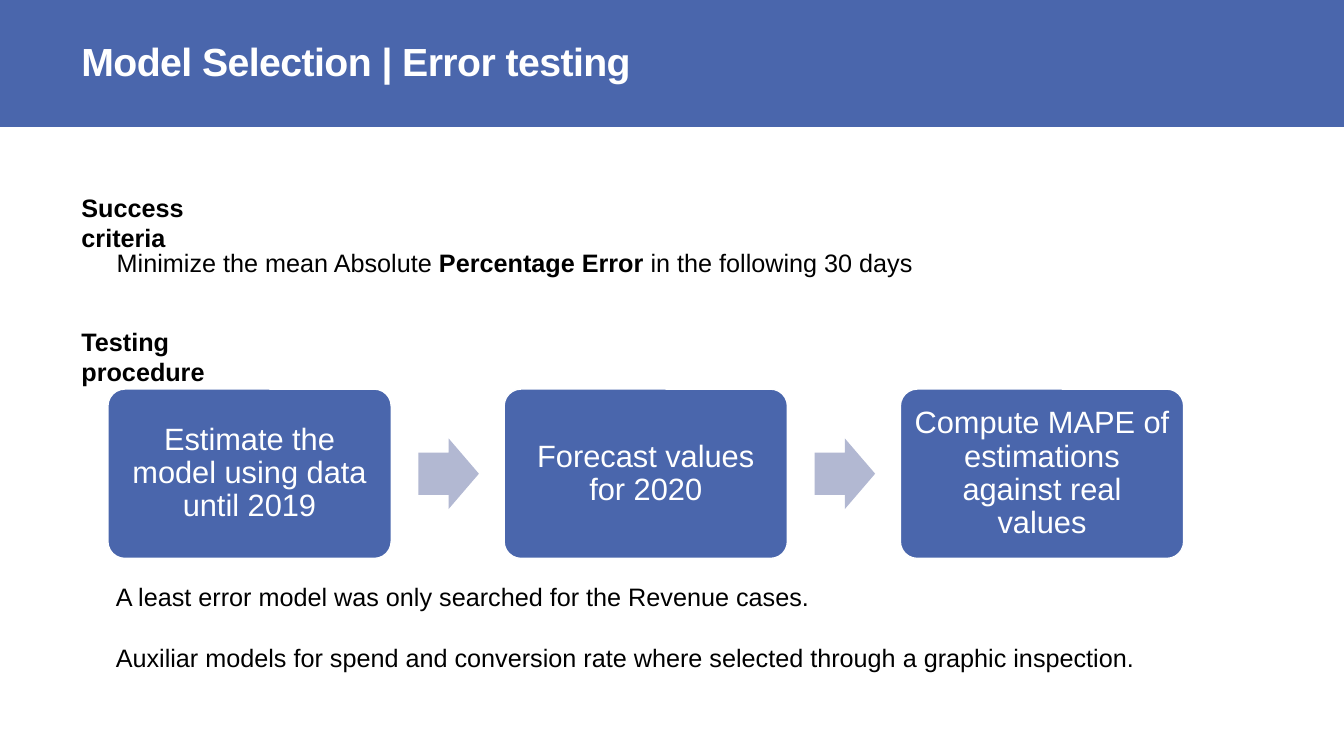
from pptx import Presentation
from pptx import util as u
from pptx.dml.color import RGBColor
from pptx.enum import shapes, text

COLORS = {"blue": "4A66AC", "arrow": "B2B8D2", "white": "FFFFFF", "black": "000000"}
TITLE = "Model Selection | Error testing"
HEADINGS = [
    ("Success criteria", (0.71, 1.86, 1.94, 0.4)),
    ("Testing procedure", (0.71, 3.19, 2.3, 0.4)),
]
CRITERIA = [
    ("Minimize the mean Absolute ", False),
    ("Percentage Error ", True),
    ("in the following 30 days", False),
]
STEPS = [
    "Estimate the model using data until 2019",
    "Forecast values for 2020",
    "Compute MAPE of estimations against real values",
]
NOTES = [
    "A least error model was only searched for the Revenue cases.",
    "Auxiliar models for spend and conversion rate where selected through a graphic inspection.",
]
STEP_LEFT, STEP_TOP, STEP_WIDTH, STEP_HEIGHT, STEP_PITCH = 1.07, 3.86, 2.81, 1.68, 3.93
ARROW_OFFSET, ARROW_WIDTH, ARROW_HEIGHT = 3.08, 0.6, 0.7
STEP_FORMAT = {"alignment": text.PP_ALIGN.CENTER, "line_spacing": 0.9}

presentation = Presentation()
presentation.slide_width = u.Inches(13.33)
presentation.slide_height = u.Inches(7.5)
slide = presentation.slides.add_slide(presentation.slide_layouts[6])


def color(name):
    return RGBColor.from_string(COLORS[name])


def apply(target, values):
    for name, value in values.items():
        setattr(target, name, value)


def add_shape(kind, box, fill, adjustments=(), outline=None):
    shape = slide.shapes.add_shape(kind, *map(u.Inches, box))
    shape.shadow.inherit = False
    shape.fill.solid()
    shape.fill.fore_color.rgb = color(fill)
    for index, value in enumerate(adjustments):
        shape.adjustments[index] = value
    if outline:
        shape.line.color.rgb = color(outline)
        shape.line.width = u.Pt(1)
    else:
        shape.line.fill.background()
    return shape


def write(frame, paragraphs, size, tone, paragraph_format=None, gap=0):
    for index, runs in enumerate(paragraphs):
        paragraph = frame.add_paragraph() if index else frame.paragraphs[0]
        apply(paragraph, paragraph_format or {"alignment": text.PP_ALIGN.LEFT})
        if index:
            paragraph.space_before = u.Pt(gap)
        for words, bold in runs:
            run = paragraph.add_run()
            run.text = words
            apply(run.font, {"name": "Arial", "size": u.Pt(size), "bold": bold})
            run.font.color.rgb = color(tone)


def add_text(box, paragraphs, size=18, tone="black", anchor=text.MSO_ANCHOR.TOP, **layout):
    frame = slide.shapes.add_textbox(*map(u.Inches, box)).text_frame
    apply(frame, {"word_wrap": True, "vertical_anchor": anchor})
    write(frame, paragraphs, size, tone, **layout)


add_shape(shapes.MSO_SHAPE.RECTANGLE, (0, 0, 13.33, 1.26), "blue")
add_text((0.71, 0.3, 11.54, 0.66), [[(TITLE, True)]], 28, "white",
         text.MSO_ANCHOR.MIDDLE, paragraph_format={"line_spacing": 0.9})
title_frame = slide.shapes[-1].text_frame
title_frame.paragraphs[0].runs[0].font._element.set("spc", "-40")

for heading, box in HEADINGS:
    add_text(box, [[(heading, True)]])
add_text((1.06, 2.4, 8.13, 0.4), [CRITERIA])

for index, step in enumerate(STEPS):
    left = STEP_LEFT + index * STEP_PITCH
    card = add_shape(shapes.MSO_SHAPE.ROUNDED_RECTANGLE,
                     (left, STEP_TOP, STEP_WIDTH, STEP_HEIGHT), "blue", [0.1], "white")
    frame = card.text_frame
    margins = dict.fromkeys(
        ("margin_left", "margin_right", "margin_top", "margin_bottom"), u.Inches(0.09))
    apply(frame, {"word_wrap": True, "vertical_anchor": text.MSO_ANCHOR.MIDDLE, **margins})
    write(frame, [[(step, False)]], 22, "white", STEP_FORMAT)
    if index < len(STEPS) - 1:
        arrow_top = STEP_TOP + (STEP_HEIGHT - ARROW_HEIGHT) / 2
        add_shape(shapes.MSO_SHAPE.RIGHT_ARROW,
                  (left + ARROW_OFFSET, arrow_top, ARROW_WIDTH, ARROW_HEIGHT),
                  "arrow", [0.6, 0.5])

add_text((1.05, 5.72, 10.64, 1.01), [[(note, False)] for note in NOTES], gap=21.6)

presentation.save("out.pptx")
